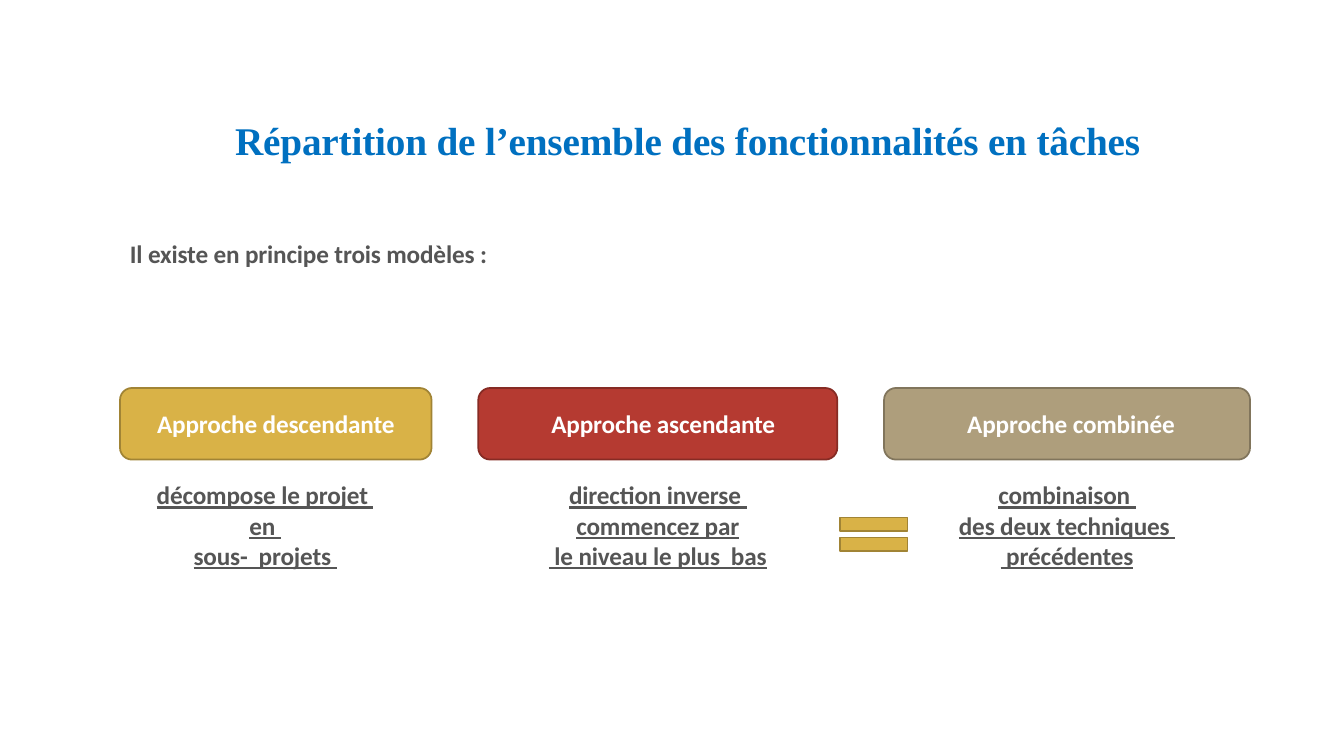
from dataclasses import dataclass

from pptx import Presentation
from pptx.dml.color import RGBColor
from pptx.enum.shapes import MSO_SHAPE
from pptx.enum.text import MSO_ANCHOR, PP_ALIGN
from pptx.util import Inches, Pt

ROUND, EQUAL = MSO_SHAPE.ROUNDED_RECTANGLE, MSO_SHAPE.MATH_EQUAL
TOP, MIDDLE = MSO_ANCHOR.TOP, MSO_ANCHOR.MIDDLE
LEFT, CENTER, JUSTIFY = PP_ALIGN.LEFT, PP_ALIGN.CENTER, PP_ALIGN.JUSTIFY


@dataclass(frozen=True)
class Theme:
    blue: str = "0070C0"
    grey: str = "555555"
    white: str = "FFFFFF"
    gold: tuple = ("D9B247", "A18435")
    red: tuple = ("B53A31", "862B24")
    sand: tuple = ("AE9E7C", "81755C")
    serif: str = "Times New Roman"
    sans: str = "Calibri"
    head: int = 28
    body: int = 18
    edge: float = 1.25
    tight: str = "-10"


class Board:
    """Places elements; lengths are percent of the slide's width and height."""

    def __init__(self, deck, theme):
        self.theme = theme
        self.slide = deck.slides.add_slide(deck.slide_layouts[6])
        self.wide, self.high = deck.slide_width, deck.slide_height

    def place(self, x, y, w, h):
        return [round(part * full / 100) for part, full in
                zip((x, y, w, h), (self.wide, self.high) * 2)]

    def label(self, shape, lines, tint, align=CENTER, space=None,
              frame=None, **font):
        box = shape.text_frame
        base = dict(word_wrap=True, vertical_anchor=TOP)
        for name, value in (base | (frame or {})).items():
            setattr(box, name, value)
        look = dict(name=self.theme.sans, size=Pt(self.theme.body),
                    bold=True) | font
        for i, line in enumerate(lines):
            para = box.add_paragraph() if i else box.paragraphs[0]
            para.alignment, para.line_spacing = align, space
            run = para.add_run()
            run.text = line
            run.font.color.rgb = RGBColor.from_string(tint)
            run._r.get_or_add_rPr().set("spc", self.theme.tight)
            for name, value in look.items():
                setattr(run.font, name, value)

    def text(self, spot, lines, tint, **style):
        box = self.slide.shapes.add_textbox(*self.place(*spot))
        self.label(box, lines, tint, **style)

    def shape(self, kind, spot, pair):
        item = self.slide.shapes.add_shape(kind, *self.place(*spot))
        item.shadow.inherit = False
        item.fill.solid()
        item.fill.fore_color.rgb = RGBColor.from_string(pair[0])
        item.line.color.rgb = RGBColor.from_string(pair[1])
        item.line.width = Pt(self.theme.edge)
        return item

    def card(self, spot, pair, title, align, pad):
        item = self.shape(ROUND, spot, pair)
        frame = dict(vertical_anchor=MIDDLE, margin_left=Inches(pad))
        self.label(item, [title], self.theme.white, align=align, frame=frame)


def main():
    deck = Presentation()
    deck.slide_width, deck.slide_height = Inches(13.33), Inches(7.5)
    theme = Theme()
    board = Board(deck, theme)

    # Intro and title
    board.text((8.93, 28.93, 49.96, 6.8), ["Il existe en principe trois modèles :"],
               theme.grey, align=JUSTIFY, space=1.5)
    board.text((12, 14, 78.32, 7.6),
               ["Répartition de l’ensemble des fonctionnalités en tâches"],
               theme.blue, name=theme.serif, size=Pt(theme.head),
               frame=dict(margin_top=Inches(0.1), margin_bottom=0))

    # Models: width, colours, title, align, pad, text width, text shift, lines
    models = [
        (23.18, theme.gold, "Approche descendante", CENTER, 0.1, 39.46, -0.79,
         ["décompose le projet ", "en ", "sous-  projets "]),
        (26.71, theme.red, "Approche ascendante", LEFT, 0.69, 24.31, 0,
         ["direction inverse ", "commencez par", " le niveau le plus  bas"]),
        (27.23, theme.sand, "Approche combinée", LEFT, 0.79, 37.88, 0,
         ["combinaison ", "des deux techniques ", " précédentes"]),
    ]
    left, gap = 8.93, 3.48
    for wide, pair, title, align, pad, span, shift, lines in models:
        board.card((left, 51.33, wide, 9.47), pair, title, align, pad)
        start = left + (wide - span) / 2 + shift
        board.text((start, 62.8, span, 13.47), lines, theme.grey, underline=True)
        left += wide + gap

    # Equal sign
    board.shape(EQUAL, (61.59, 66.93, 6.83, 7.47), theme.gold)

    deck.save("out.pptx")


if __name__ == "__main__":
    main()
